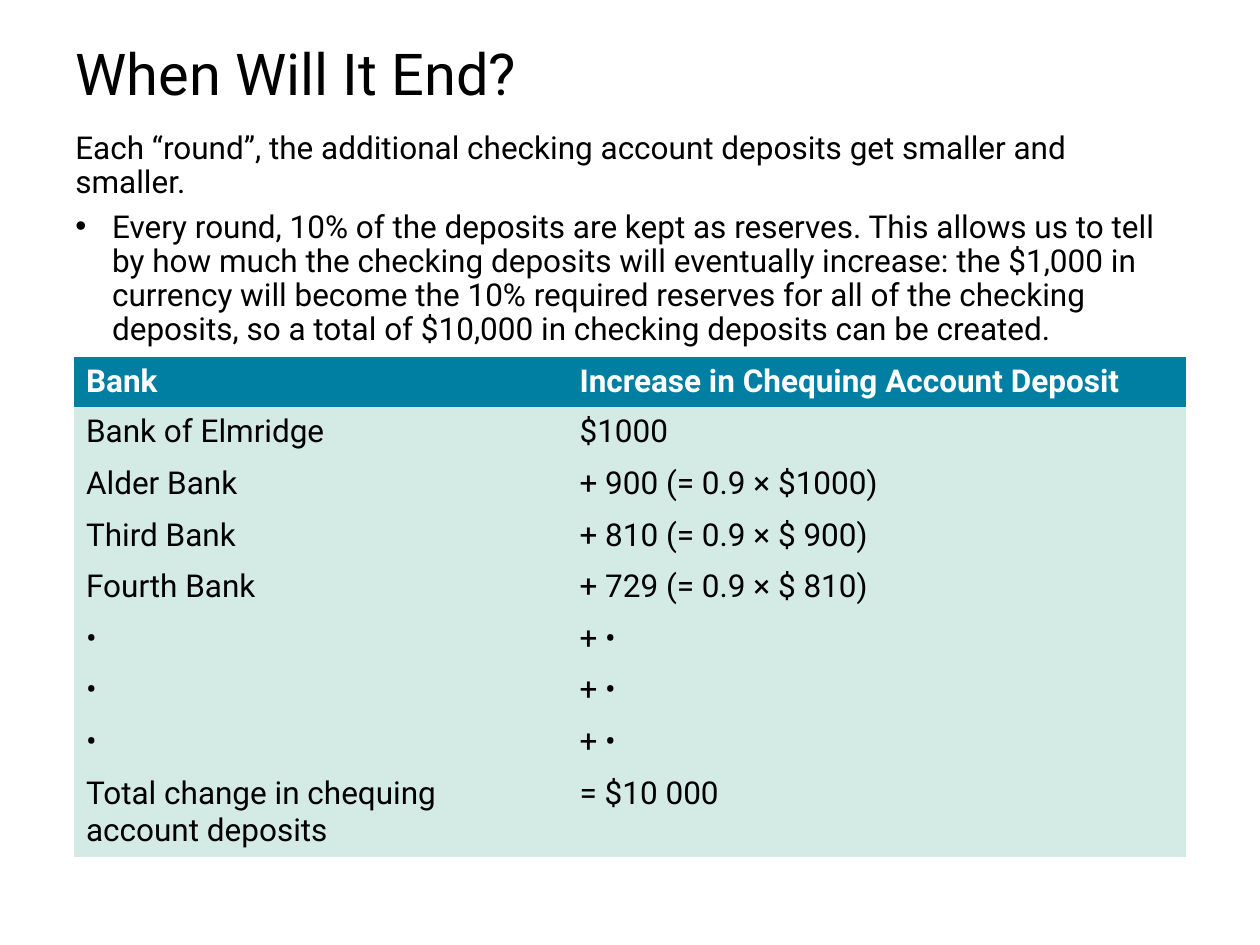
from pptx import Presentation
from pptx.dml.color import RGBColor
from pptx.enum.text import MSO_ANCHOR as Anchor, MSO_AUTO_SIZE as AutoSize, PP_ALIGN as Align
from pptx.oxml.ns import qn
from pptx.util import Pt
from lxml.etree import SubElement

TITLE_FORMAT = {"name": "Roboto", "size": Pt(33), "bold": False}
TEXT_FORMAT = {"name": "Roboto", "size": Pt(18), "bold": False}
HEADER_FORMAT = {**TEXT_FORMAT, "bold": True}
NO_GRID_STYLE = "{2D5ABB26-0587-4C30-8999-92F81FD0307C}"

POINTS = [
    ("Each “round”, the additional checking account deposits get smaller and smaller.", False),
    ("Every round, 10% of the deposits are kept as reserves. This allows us to tell by how much "
     "the checking deposits will eventually increase: the $1,000 in currency will become the 10% "
     "required reserves for all of the checking deposits, so a total of $10,000 in checking "
     "deposits can be created.", True),
]
DEPOSITS = [
    ("Bank", "Increase in Chequing Account Deposit"),
    ("Bank of Elmridge", "$1000"),
    ("Alder Bank", "+ 900 (= 0.9 × $1000)"),
    ("Third Bank", "+ 810 (= 0.9 × $ 900)"),
    ("Fourth Bank", "+ 729 (= 0.9 × $ 810)"),
    *[("•", "+ •")] * 3,
    ("Total change in chequing account deposits", "= $10 000"),
]


def paint(color_format, color):
    """Set a colour from a hex string."""
    color_format.rgb = RGBColor.from_string(color)


def format_font(font, values, color):
    """Apply a dict of font values and a colour."""
    for key, value in values.items():
        setattr(font, key, value)
    paint(font.color, color)


def add_bullet(paragraph, indent):
    """Give a paragraph a hanging bullet."""
    properties = paragraph._p.get_or_add_pPr()
    properties.set("marL", str(Pt(indent)))
    properties.set("indent", str(-Pt(indent)))
    SubElement(properties, qn("a:buFont")).set("typeface", "Arial")
    SubElement(properties, qn("a:buChar")).set("char", "•")


def place_title(slide, left, top, width, height):
    """Fill and place the title placeholder."""
    title = slide.shapes.title
    title.left, title.top, title.width, title.height = map(Pt, (left, top, width, height))
    frame = title.text_frame
    frame.text = "When Will It End?"
    frame.vertical_anchor, frame.auto_size = Anchor.BOTTOM, AutoSize.NONE
    heading = frame.paragraphs[0]
    heading.alignment, heading.line_spacing = Align.LEFT, 0.9
    format_font(heading.font, TITLE_FORMAT, "000000")


def place_points(slide, left, top, width, height):
    """Write the explanation above the table."""
    frame = slide.shapes.add_textbox(*map(Pt, (left, top, width, height))).text_frame
    frame.word_wrap = True
    for index, (wording, bulleted) in enumerate(POINTS):
        point = frame.add_paragraph() if index else frame.paragraphs[0]
        point.text = wording
        point.line_spacing, point.space_after = 0.9, Pt(6)
        if bulleted:
            add_bullet(point, 21)
        format_font(point.font, TEXT_FORMAT, "000000")


def place_deposits(slide, left, top, width, height):
    """Build the table of deposits by bank."""
    header_height, bank_width = 24, 282
    row_height = (height - header_height) / (len(DEPOSITS) - 1)
    holder = slide.shapes.add_table(len(DEPOSITS), 2, *map(Pt, (left, top, width, height)))
    holder._element.xpath(".//a:tableStyleId")[0].text = NO_GRID_STYLE
    table = holder.table
    table.horz_banding = False
    for column, column_width in zip(table.columns, (bank_width, width - bank_width)):
        column.width = Pt(column_width)
    for index, entries in enumerate(DEPOSITS):
        table.rows[index].height = Pt(row_height if index else header_height)
        fill, color, values = (("D4EAE4", "000000", TEXT_FORMAT) if index
                               else ("007FA3", "FFFFFF", HEADER_FORMAT))
        for cell, entry in zip(table.rows[index].cells, entries):
            cell.text = entry
            cell.fill.solid()
            paint(cell.fill.fore_color, fill)
            format_font(cell.text_frame.paragraphs[0].font, values, color)


def main():
    """Build and save the slide."""
    deck = Presentation()
    deck.slide_width, deck.slide_height = Pt(720), Pt(540)
    slide = deck.slides.add_slide(deck.slide_layouts[5])
    place_title(slide, 36, 6.5, 648, 59)
    place_points(slide, 36, 72, 648, 115)
    place_deposits(slide, 42, 204, 636, 260)
    deck.save("out.pptx")


if __name__ == "__main__":
    main()
